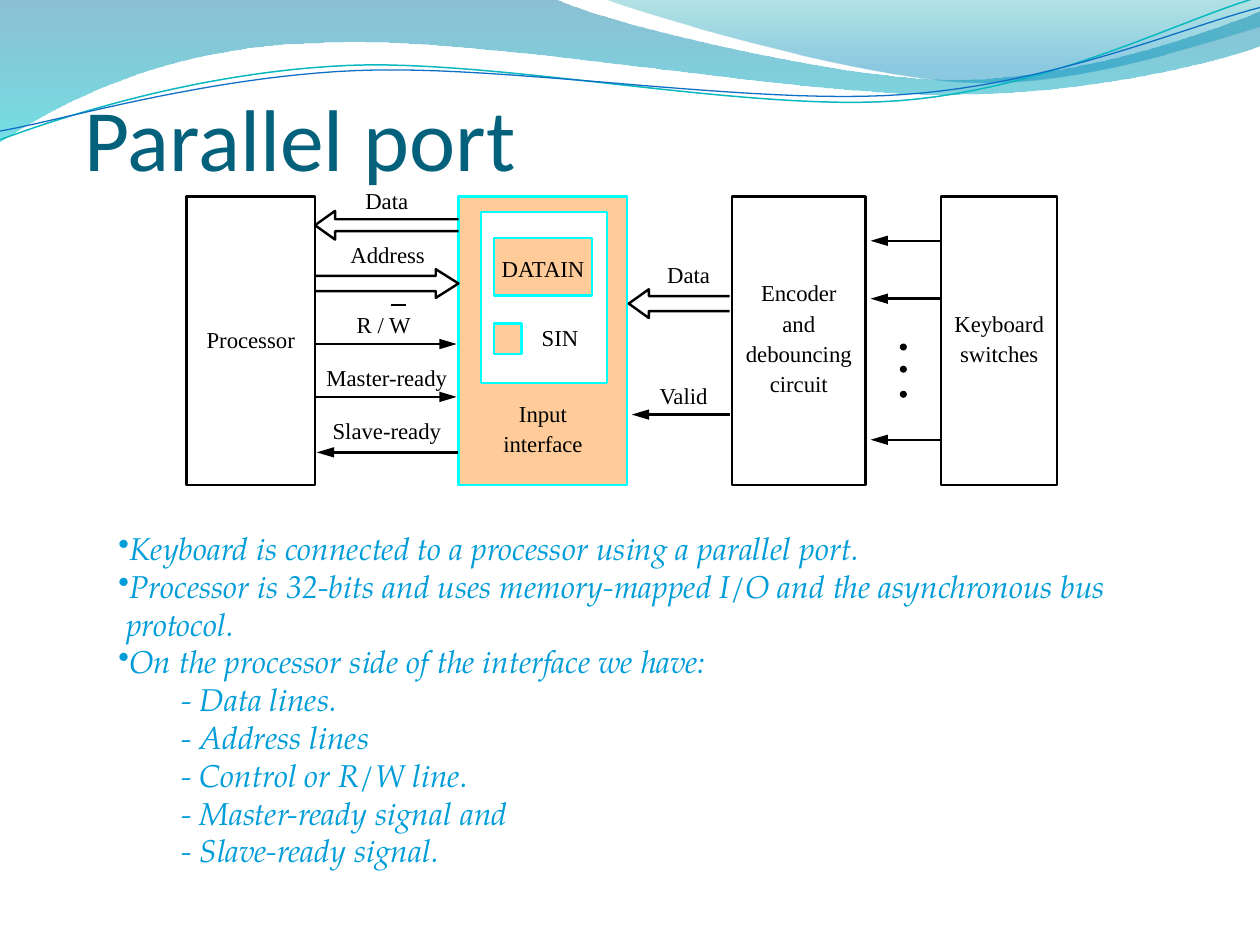
from dataclasses import dataclass

import pptx
import pptx.dml.color
import pptx.enum.dml
import pptx.enum.shapes
import pptx.enum.text
import pptx.oxml
import pptx.oxml.ns
import pptx.util
from lxml import etree

Pt = pptx.util.Pt
qn = pptx.oxml.ns.qn
ANCHOR = pptx.enum.text.MSO_ANCHOR
ALIGN = pptx.enum.text.PP_ALIGN
SHAPE = pptx.enum.shapes.MSO_SHAPE
BLACK, WHITE, CYAN, PEACH = "000000", "FFFFFF", "00FFFF", "FFCC99"
LINE_WIDTH = 1.38
BLOCK_TOP, BLOCK_HEIGHT = 112.3, 165


@dataclass
class Box:
    left: float
    top: float
    width: float
    height: float
    fill: str = WHITE
    line: str = BLACK
    text: str = ""
    anchor: ANCHOR = ANCHOR.MIDDLE
    bottom_inset: float = 0


@dataclass
class Label:
    text: str
    left: float
    top: float
    width: float


@dataclass
class Signal:
    start: float
    end: float
    y: float
    head: bool = True


@dataclass
class Bus:
    tail: float
    tip: float
    y: float
    shaft: float
    head_length: float


@dataclass
class Wave:
    start: tuple
    segments: list
    stops: tuple = ()
    line: str = ""
    line_width: float = 0


WAVES = [
    Wave((0, 0), [
        [(316.8, -0.7)],
        [(342.7, 12.2), (478, 45.4), (545.8, 45.4)],
        [(614.2, 45.4), (689.8, 18.7), (720, 6.5)],
        [(720.7, 25.9)],
        [(707.8, 31.7), (626.4, 54.7), (537.1, 54)],
        [(447.8, 54), (275, 20.2), (185, 24.5)],
        [(92.9, 25.9), (33.1, 59.8), (-0.7, 81.4)],
    ], stops=((0, "0074A1", 45), (1, "00C6CF", 55))),
    Wave((344.9, -0.7), [
        [(366.5, 7.9), (491, 44.6), (553.7, 46.8)],
        [(616.3, 49.7), (691.9, 23), (720, 15.1)],
        [(720, 0)],
    ], stops=((0, "00A1A9", 30), (0.8, "008BBF", 45))),
    Wave((0, 79.9), [
        [(34.6, 67), (113.8, 41), (199.4, 37.4)],
        [(284.4, 33.8), (427, 64.1), (513.4, 57.6)],
        [(599.8, 51.1), (675.4, 10.8), (718.6, -1.4)],
    ], line="0AB8BF", line_width=0.85),
    Wave((0, 74.9), [
        [(33.8, 69.1), (118.1, 43.9), (203.8, 40.3)],
        [(290.2, 36.7), (429.8, 60.5), (516.2, 54)],
        [(601.9, 48.2), (677.5, 15.1), (720, 4.3)],
    ], line="0F6FC6", line_width=0.75),
]
BOXES = [
    Box(106.5, BLOCK_TOP, 73.5, BLOCK_HEIGHT, text="Processor", bottom_inset=3),
    Box(262, BLOCK_TOP, 96.5, BLOCK_HEIGHT, PEACH, CYAN, "Input\ninterface", ANCHOR.BOTTOM, 16),
    Box(418.3, BLOCK_TOP, 76.3, BLOCK_HEIGHT, text="Encoder\nand\ndebouncing\ncircuit", bottom_inset=5),
    Box(537.8, BLOCK_TOP, 66.3, BLOCK_HEIGHT, text="Keyboard\nswitches", bottom_inset=5),
    Box(275, 121, 72, 98, line=CYAN),
    Box(282.2, 136, 56.2, 33, PEACH, CYAN, "DATAIN"),
    Box(282.2, 185, 15.8, 17.3, PEACH, CYAN),
]
LABELS = [
    Label("Data", 206, 106.6, 30),
    Label("Address", 196.5, 137.5, 50),
    Label("R / W", 199.2, 177.8, 40),
    Label("Master-ready", 181, 208, 80),
    Label("Slave-ready", 186, 238.3, 70),
    Label("SIN", 305, 185, 30),
    Label("Data", 378.5, 149, 30),
    Label("Valid", 373.1, 218.2, 35),
]
SIGNALS = [
    Signal(180, 261, 196.6),
    Signal(180, 261, 226.8),
    Signal(262, 181, 258.5),
    Signal(417, 361, 236.9),
    Signal(223.2, 231.8, 174.2, head=False),
] + [Signal(537.8, 497.5, y) for y in (137.6, 170.7, 251.3)]
BUSES = [
    Bus(262, 180, 128.7, 3.4, 11.5),
    Bus(180, 262, 162, 4.3, 13),
    Bus(417, 359.3, 173.5, 4.3, 11.5),
]
DOT_CENTRES = [(516.2, y) for y in (198.3, 211, 225.3)]
DOT_SIZE = 4
NOTES = [
    (True, "Keyboard is connected to a processor using a parallel port."),
    (True, "Processor is 32-bits and uses memory-mapped I/O and the asynchronous bus protocol."),
    (True, "On the processor side of the interface we have:"),
    (False, "- Data lines."),
    (False, "- Address lines"),
    (False, "- Control or R/W line."),
    (False, "- Master-ready signal and"),
    (False, "- Slave-ready signal."),
]


def rgb(value: str) -> pptx.dml.color.RGBColor:
    return pptx.dml.color.RGBColor.from_string(value)


def style_font(font, size: float, name: str, colour: str) -> None:
    font.size, font.name = Pt(size), name
    font.color.rgb = rgb(colour)


def style_line(line, colour: str, width: float = LINE_WIDTH) -> None:
    line.color.rgb = rgb(colour)
    line.width = Pt(width)


def set_insets(frame, left: float, top: float, right: float, bottom: float) -> None:
    frame.margin_left, frame.margin_top = Pt(left), Pt(top)
    frame.margin_right, frame.margin_bottom = Pt(right), Pt(bottom)


def add_outline(slide, points: list, close: bool):
    scaled = [(Pt(x), Pt(y)) for x, y in points]
    builder = slide.shapes.build_freeform(*scaled[0])
    builder.add_line_segments(scaled[1:], close=close)
    shape = builder.convert_to_shape()
    shape.shadow.inherit = False
    return shape


def sample_curve(start: tuple, segments: list, steps: int = 24) -> list:
    points = [start]
    for segment in segments:
        if len(segment) == 1:
            points += segment
            continue
        controls = [points[-1], *segment]
        for step in range(1, steps + 1):
            t = step / steps
            weights = ((1 - t) ** 3, 3 * t * (1 - t) ** 2, 3 * t * t * (1 - t), t ** 3)
            points.append(tuple(sum(w * c[axis] for w, c in zip(weights, controls)) for axis in (0, 1)))
    return points


def draw_wave(slide, wave: Wave) -> None:
    shape = add_outline(slide, sample_curve(wave.start, wave.segments), bool(wave.stops))
    if not wave.stops:
        shape.fill.background()
        style_line(shape.line, wave.line, wave.line_width)
        return
    shape.line.fill.background()
    shape.fill.gradient()
    shape.fill.gradient_angle = 270
    for stop, (position, colour, _) in zip(shape.fill.gradient_stops, wave.stops):
        stop.position, stop.color.rgb = position, rgb(colour)
    for element, (_, _, opacity) in zip(shape.element.spPr.iter(qn("a:srgbClr")), wave.stops):
        etree.SubElement(element, qn("a:alpha"), val=str(opacity * 1000))


def draw_box(slide, box: Box) -> None:
    shape = slide.shapes.add_shape(SHAPE.RECTANGLE, Pt(box.left), Pt(box.top), Pt(box.width), Pt(box.height))
    shape.shadow.inherit = False
    shape.fill.solid()
    shape.fill.fore_color.rgb = rgb(box.fill)
    style_line(shape.line, box.line)
    if box.text:
        frame = shape.text_frame
        set_insets(frame, 0, 0, 0, box.bottom_inset)
        frame.vertical_anchor, frame.text = box.anchor, box.text
        for paragraph in frame.paragraphs:
            paragraph.alignment, paragraph.line_spacing = ALIGN.CENTER, Pt(17.3)
            style_font(paragraph.font, 13, "Times New Roman", BLACK)


def draw_label(slide, label: Label) -> None:
    frame = slide.shapes.add_textbox(Pt(label.left), Pt(label.top), Pt(label.width), Pt(15.8)).text_frame
    set_insets(frame, 0, 0, 0, 0)
    frame.word_wrap = False
    paragraph = frame.paragraphs[0]
    paragraph.text, paragraph.alignment = label.text, ALIGN.CENTER
    style_font(paragraph.font, 13, "Times New Roman", BLACK)


def draw_signal(slide, signal: Signal) -> None:
    connector = slide.shapes.add_connector(
        pptx.enum.shapes.MSO_CONNECTOR.STRAIGHT, Pt(signal.start), Pt(signal.y), Pt(signal.end), Pt(signal.y))
    style_line(connector.line, BLACK)
    if signal.head:
        line = connector.element.spPr.find(qn("a:ln"))
        etree.SubElement(line, qn("a:tailEnd"), type="triangle", w="med", len="lg")
    etree.SubElement(connector.element.spPr, qn("a:effectLst"))


def draw_bus(slide, bus: Bus) -> None:
    neck = bus.tip + (bus.head_length if bus.tail > bus.tip else -bus.head_length)
    half = [(bus.tail, bus.shaft), (neck, bus.shaft), (neck, 8.2)]
    points = [(x, bus.y - offset) for x, offset in half] + [(bus.tip, bus.y)]
    points += [(x, bus.y + offset) for x, offset in reversed(half)]
    shape = add_outline(slide, points, False)
    shape.fill.background()
    style_line(shape.line, BLACK)


def draw_dot(slide, centre: tuple) -> None:
    left, top = (Pt(value - DOT_SIZE / 2) for value in centre)
    shape = slide.shapes.add_shape(SHAPE.OVAL, left, top, Pt(DOT_SIZE), Pt(DOT_SIZE))
    shape.shadow.inherit = False
    shape.fill.solid()
    shape.fill.fore_color.rgb = rgb(BLACK)
    shape.line.fill.background()


def draw_title(slide) -> None:
    title = slide.shapes.title
    slide.shapes.element.append(title.element)
    title.left, title.top, title.width, title.height = Pt(48.2), Pt(41.8), Pt(419.8), Pt(66.2)
    frame = title.text_frame
    frame.text, frame.vertical_anchor = "Parallel port", ANCHOR.BOTTOM
    frame.auto_size = pptx.enum.text.MSO_AUTO_SIZE.NONE
    set_insets(frame, 0, 3.6, 0, 0)
    frame.paragraphs[0].alignment = ALIGN.LEFT
    style_font(frame.paragraphs[0].font, 50, "Calibri", "04617B")


def draw_notes(slide) -> None:
    frame = slide.shapes.add_textbox(Pt(60.5), Pt(298.8), Pt(582.5), Pt(201.6)).text_frame
    frame.word_wrap = True
    frame.text = "\n".join(text for _, text in NOTES)
    for paragraph, (bulleted, _) in zip(frame.paragraphs, NOTES):
        properties = paragraph._p.get_or_add_pPr()
        properties.set("marL", str(Pt(4.5 if bulleted else 36)))
        properties.set("indent", str(Pt(-4.5 if bulleted else 0)))
        if bulleted:
            etree.SubElement(properties, qn("a:buChar"), char="•")
        style_font(paragraph.font, 18, "TeX Gyre Pagella", "009DD9")
        paragraph.font.italic = True


def main() -> None:
    presentation = pptx.Presentation()
    presentation.slide_width, presentation.slide_height = Pt(720), Pt(540)
    slide = presentation.slides.add_slide(presentation.slide_layouts[5])
    for wave in WAVES:
        draw_wave(slide, wave)
    draw_title(slide)
    for draw, items in ((draw_box, BOXES), (draw_bus, BUSES), (draw_signal, SIGNALS),
                        (draw_label, LABELS), (draw_dot, DOT_CENTRES)):
        for item in items:
            draw(slide, item)
    draw_notes(slide)
    presentation.save("out.pptx")


if __name__ == "__main__":
    main()
